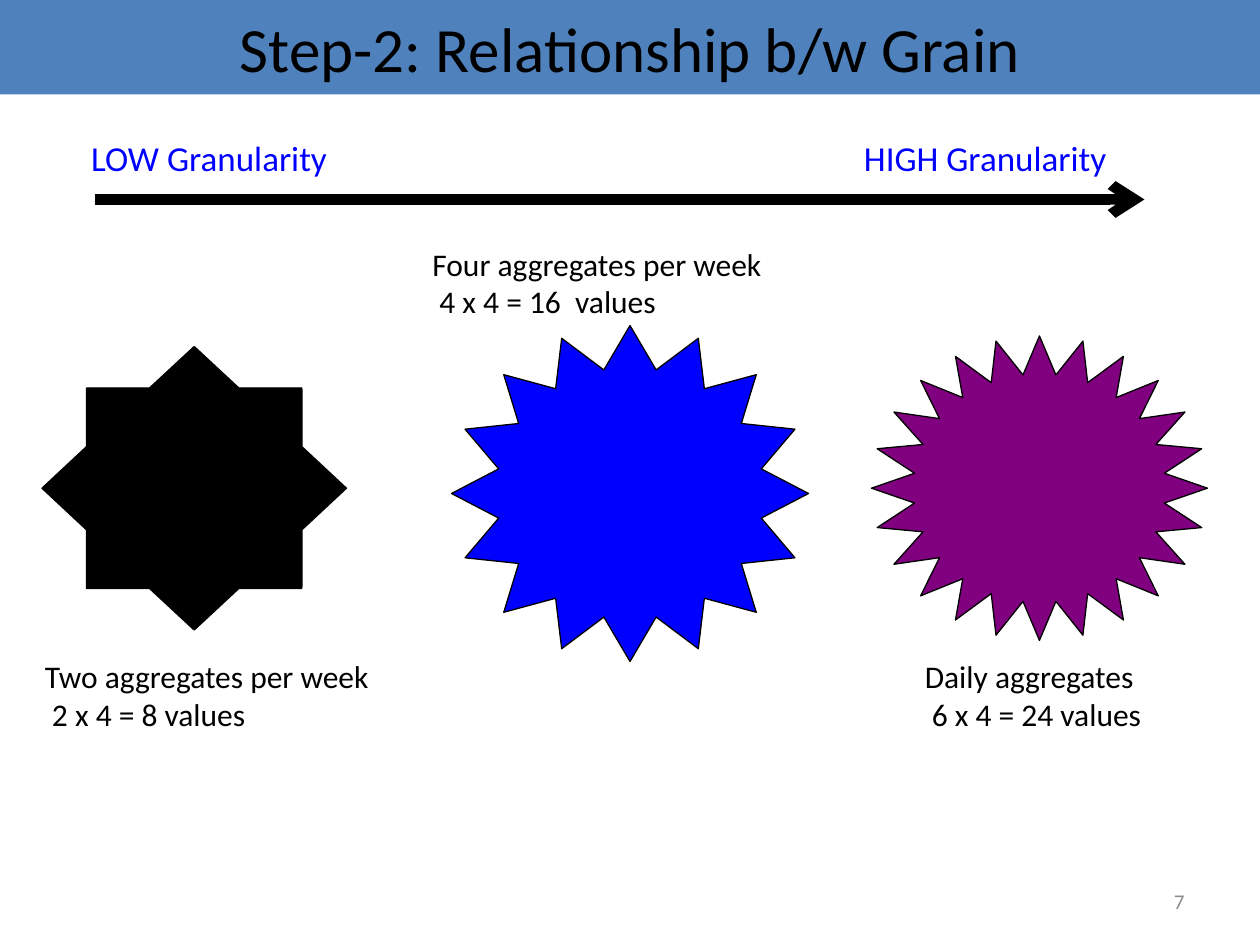
from dataclasses import dataclass
from lxml.etree import SubElement as Sub
from pptx import Presentation
from pptx.dml.color import RGBColor as Rgb
from pptx.enum.shapes import MSO_CONNECTOR as Conn, MSO_SHAPE as Kind
from pptx.enum.text import MSO_ANCHOR as Anchor, PP_ALIGN as Align
from pptx.oxml.ns import qn
from pptx.util import Inches, Pt

WIDE, HIGH = Inches(10), Inches(7.5)
COLS, ROWS = 120, 90


@dataclass(frozen=True)
class Theme:
    font: str = "Calibri"
    ink: str = "000000"
    band: str = "4F81BD"
    blue: str = "0000FF"
    plum: str = "800080"
    gray: str = "8C8C8C"
    head: int = 36
    label: int = 20
    body: int = 18
    small: int = 12
    edge: float = 0.75
    bar: int = 6


THEME = Theme()


def col(n):
    return round(WIDE * n / COLS)


def row(n):
    return round(HIGH * n / ROWS)


def place(x, y, w, h):
    return col(x), row(y), col(w), row(h)


def write(shape, text, size=THEME.body, color=THEME.ink,
          align=Align.LEFT, anchor=Anchor.TOP):
    frame = shape.text_frame
    frame.word_wrap = True
    frame.vertical_anchor = anchor
    frame.text = text
    for para in frame.paragraphs:
        para.alignment = align
        para.font.name = THEME.font
        para.font.size = Pt(size)
        para.font.color.rgb = Rgb.from_string(color)


def note(shapes, box, text, **style):
    write(shapes.add_textbox(*place(*box)), text, **style)


def solid(shapes, kind, box, fill, edge=None):
    shape = shapes.add_shape(kind, *place(*box))
    shape.shadow.inherit = False
    shape.fill.solid()
    shape.fill.fore_color.rgb = Rgb.from_string(fill)
    if edge:
        shape.line.color.rgb = Rgb.from_string(edge)
        shape.line.width = Pt(THEME.edge)
    else:
        shape.line.fill.background()
    return shape


def star(slide, kind, depth, box, fill, spot, text):
    group = slide.shapes.add_group_shape().shapes
    shape = solid(group, kind, box, fill, THEME.ink)
    shape.adjustments[0] = depth
    note(group, spot, text)


def arrow(shapes, left, right, y):
    line = shapes.add_connector(Conn.STRAIGHT, col(left), row(y),
                                col(right), row(y))
    line.line.color.rgb = Rgb.from_string(THEME.ink)
    line.line.width = Pt(THEME.bar)
    Sub(line.line._get_or_add_ln(), qn("a:tailEnd"), type="arrow")
    Sub(line._element.spPr, qn("a:effectLst"))


def scale(slide):
    group = slide.shapes.add_group_shape().shapes
    arrow(group, 9, 109, 19)
    for x, text in ((7.5, "LOW Granularity"), (81.1, "HIGH Granularity")):
        note(group, (x, 12.4, 29.4, 5.2), text,
             size=THEME.label, color=THEME.blue)


def main():
    deck = Presentation()
    deck.slide_width, deck.slide_height = WIDE, HIGH
    slide = deck.slides.add_slide(deck.slide_layouts[6])
    note(slide.shapes, (86, 83.4, 28, 4.8), "7", size=THEME.small,
         color=THEME.gray, align=Align.RIGHT, anchor=Anchor.MIDDLE)
    band = solid(slide.shapes, Kind.RECTANGLE, (0, 0, COLS, 9), THEME.band)
    write(band, "Step-2: Relationship b/w Grain", size=THEME.head,
          align=Align.CENTER, anchor=Anchor.MIDDLE)
    stars = (
        (Kind.STAR_24_POINT, 0.375, (83, 32, 32, 29), THEME.plum,
         (86.9, 62, 26.9, 8.4), "Daily aggregates\n 6 x 4 = 24 values"),
        (Kind.STAR_16_POINT, 0.375, (43, 31, 34, 32), THEME.blue,
         (40, 22.7, 39.6, 8.4),
         "Four aggregates per week\n 4 x 4 = 16  values"),
        (Kind.STAR_8_POINT, 0.383, (4, 33, 29, 27), THEME.ink,
         (3.1, 62, 38.9, 8.4),
         "Two aggregates per week\n 2 x 4 = 8 values"),
    )
    for item in stars:
        star(slide, *item)
    scale(slide)
    deck.save("out.pptx")


if __name__ == "__main__":
    main()
